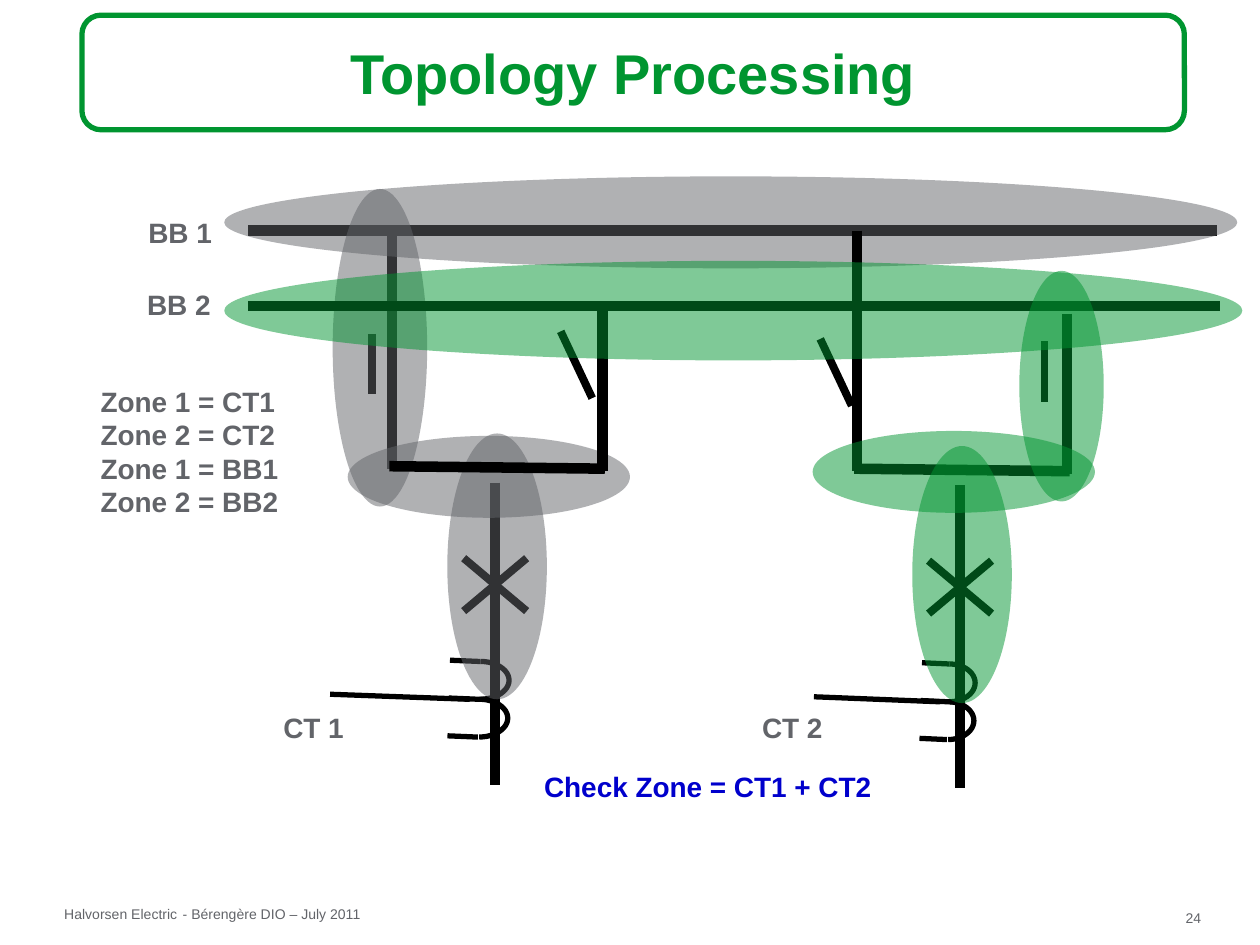
from math import cos, pi, sin

from pptx import Presentation
from pptx.dml.color import RGBColor
from pptx.enum.shapes import MSO_CONNECTOR, MSO_SHAPE
from pptx.enum.text import MSO_ANCHOR, PP_ALIGN
from pptx.oxml.ns import qn
from pptx.util import Inches, Pt
from lxml.etree import SubElement

BLACK = RGBColor(0x00, 0x00, 0x00)
GRAY = RGBColor(0x62, 0x64, 0x69)
GREEN = RGBColor(0x00, 0x95, 0x30)
BLUE = RGBColor(0x00, 0x00, 0xCC)


def style(frame, text, size, color, bold=True, align=PP_ALIGN.LEFT):
    frame.text = text
    for par in frame.paragraphs:
        par.alignment = align
        for run in par.runs:
            font = run.font
            font.name, font.size, font.bold = "Arial", Pt(size), bold
            font.color.rgb = color


def add_label(slide, box, text, color=GRAY, align=PP_ALIGN.LEFT):
    frame = slide.shapes.add_textbox(*map(Inches, box)).text_frame
    frame.word_wrap = False
    style(frame, text, 16, color, align=align)


def add_note(slide, box, text):
    """Small footer text without margins."""
    frame = slide.shapes.add_textbox(*map(Inches, box)).text_frame
    frame.margin_left = frame.margin_right = 0
    frame.margin_top = frame.margin_bottom = 0
    frame.word_wrap = False
    style(frame, text, 8, GRAY, bold=False)


def add_line(slide, x1, y1, x2, y2, width):
    line = slide.shapes.add_connector(
        MSO_CONNECTOR.STRAIGHT, Inches(x1), Inches(y1), Inches(x2), Inches(y2))
    line.line.color.rgb = BLACK
    line.line.width = Pt(width)
    SubElement(line._element.spPr, qn("a:effectLst"))


def add_zone(slide, box, color):
    """Half-transparent oval that marks a protection zone."""
    oval = slide.shapes.add_shape(MSO_SHAPE.OVAL, *map(Inches, box))
    oval.shadow.inherit = False
    oval.line.fill.background()
    oval.fill.solid()
    oval.fill.fore_color.rgb = color
    tint = oval._element.spPr.find(qn("a:solidFill"))[0]
    SubElement(tint, qn("a:alpha"), val="50000")


def add_loop(slide, x, y, rx, ry):
    """Half ellipse, open to the left, centred on x, y."""
    steps = 24
    turns = [pi * i / steps - pi / 2 for i in range(steps + 1)]
    dots = [(Inches(x + rx * cos(t)), Inches(y + ry * sin(t))) for t in turns]
    path = slide.shapes.build_freeform(*dots[0])
    path.add_line_segments(dots[1:], close=False)
    loop = path.convert_to_shape()
    loop.shadow.inherit = False
    loop.fill.background()
    loop.line.color.rgb = BLACK
    loop.line.width = Pt(3)


def draw_coil(slide, x, y, w):
    """Current transformer: two loops, three stubs and a long lead."""
    pitch = 0.3
    for i in range(2):
        add_loop(slide, x + 0.84 * w - 0.01 * i, y + 0.16 + pitch * i,
                 0.16 * w, pitch / 2)
    for i in range(3):
        end = x - 0.01 * i
        add_line(slide, end + 0.84 * w, y + 0.01 + pitch * i,
                 end + 0.67 * w, y + pitch * i, 3)
    add_line(slide, x + 0.78 * w, y + 0.31, x, y + 0.27, 3)


def draw_feeder(slide, x, y):
    """Left leg and the feeder with its breaker cross."""
    add_line(slide, x, y, x, y + 1.91, 6)
    mid = x + 0.82
    add_line(slide, mid, y + 2.02, mid, y + 4.42, 6)
    add_line(slide, mid - 0.25, y + 2.62, mid + 0.25, y + 3.04, 4.5)
    add_line(slide, mid + 0.25, y + 2.62, mid - 0.25, y + 3.04, 4.5)


def draw_link(slide, x, y):
    """Right leg and the bar that joins both legs."""
    add_line(slide, x + 1.67, y + 0.66, x + 1.67, y + 1.93, 6)
    add_line(slide, x - 0.02, y + 1.89, x + 1.69, y + 1.91, 6)


def draw_open(slide, x, y):
    add_line(slide, x, y, x + 0.25, y + 0.53, 4.5)


def draw_shut(slide, x, y):
    add_line(slide, x, y, x, y + 0.48, 4.5)


def draw_title(slide, box):
    frame = slide.shapes.add_shape(
        MSO_SHAPE.ROUNDED_RECTANGLE, *map(Inches, box))
    frame.shadow.inherit = False
    frame.fill.background()
    frame.line.color.rgb = GREEN
    frame.line.width = Pt(3)
    text = frame.text_frame
    text.word_wrap = False
    text.vertical_anchor = MSO_ANCHOR.MIDDLE
    style(text, "Topology Processing", 32, GREEN, align=PP_ALIGN.CENTER)


def draw_left(slide, x, y):
    """First bay and first busbar, all in the gray zone."""
    draw_open(slide, x + 1.34, y + 0.82)
    draw_shut(slide, x - 0.16, y + 0.84)
    draw_coil(slide, x - 0.49, y + 3.43, 1.42)
    draw_feeder(slide, x, y)
    add_line(slide, 1.97, 1.83, 9.66, 1.83, 6)
    for box in ((2.64, 1.5, 0.75, 2.52), (2.76, 3.46, 2.24, 0.65),
                (3.55, 3.44, 0.79, 2.11), (1.78, 1.4, 8.04, 0.73)):
        add_zone(slide, box, GRAY)
    draw_link(slide, x, y)


def draw_right(slide, x, y):
    """Second bay and second busbar, all in the green zone."""
    add_line(slide, 1.97, 2.43, 9.68, 2.43, 6)
    draw_open(slide, x - 0.29, y + 0.86)
    draw_shut(slide, x + 1.49, y + 0.88)
    draw_coil(slide, x - 0.34, y + 3.43, 1.28)
    draw_feeder(slide, x, y)
    draw_link(slide, x, y)
    for box in ((1.78, 2.07, 8.08, 0.79), (8.09, 2.15, 0.67, 1.83),
                (7.24, 3.54, 0.79, 2.04), (6.45, 3.42, 2.24, 0.65)):
        add_zone(slide, box, GREEN)


def draw_labels(slide):
    zones = ("Zone 1 = CT1", "Zone 2 = CT2", "Zone 1 = BB1", "Zone 2 = BB2")
    add_label(slide, (0.7, 3, 1.67, 1.44), "\n".join(zones))
    add_label(slide, (0.98, 1.66, 0.9, 0.37), "BB 1", align=PP_ALIGN.CENTER)
    add_label(slide, (0.97, 2.23, 0.9, 0.37), "BB 2", align=PP_ALIGN.CENTER)
    add_label(slide, (2.15, 5.59, 0.91, 0.37), "CT 1")
    add_label(slide, (5.95, 5.59, 0.91, 0.37), "CT 2")
    add_label(slide, (4.22, 6.06, 2.8, 0.37), "Check Zone = CT1 + CT2", BLUE)


def draw_footer(slide):
    add_note(slide, (0.51, 7.19, 0.9, 0.13), "Halvorsen Electric")
    add_note(slide, (1.45, 7.19, 1.42, 0.13), "- Bérengère DIO – July 2011")
    add_note(slide, (9.41, 7.22, 0.32, 0.08), "24")


def main():
    deck = Presentation()
    deck.slide_width, deck.slide_height = Inches(10), Inches(7.5)
    slide = deck.slides.add_slide(deck.slide_layouts[6])
    draw_footer(slide)
    draw_left(slide, 3.11, 1.81)
    draw_right(slide, 6.8, 1.83)
    draw_labels(slide)
    draw_title(slide, (0.65, 0.12, 8.75, 0.91))
    deck.save("out.pptx")


if __name__ == "__main__":
    main()
